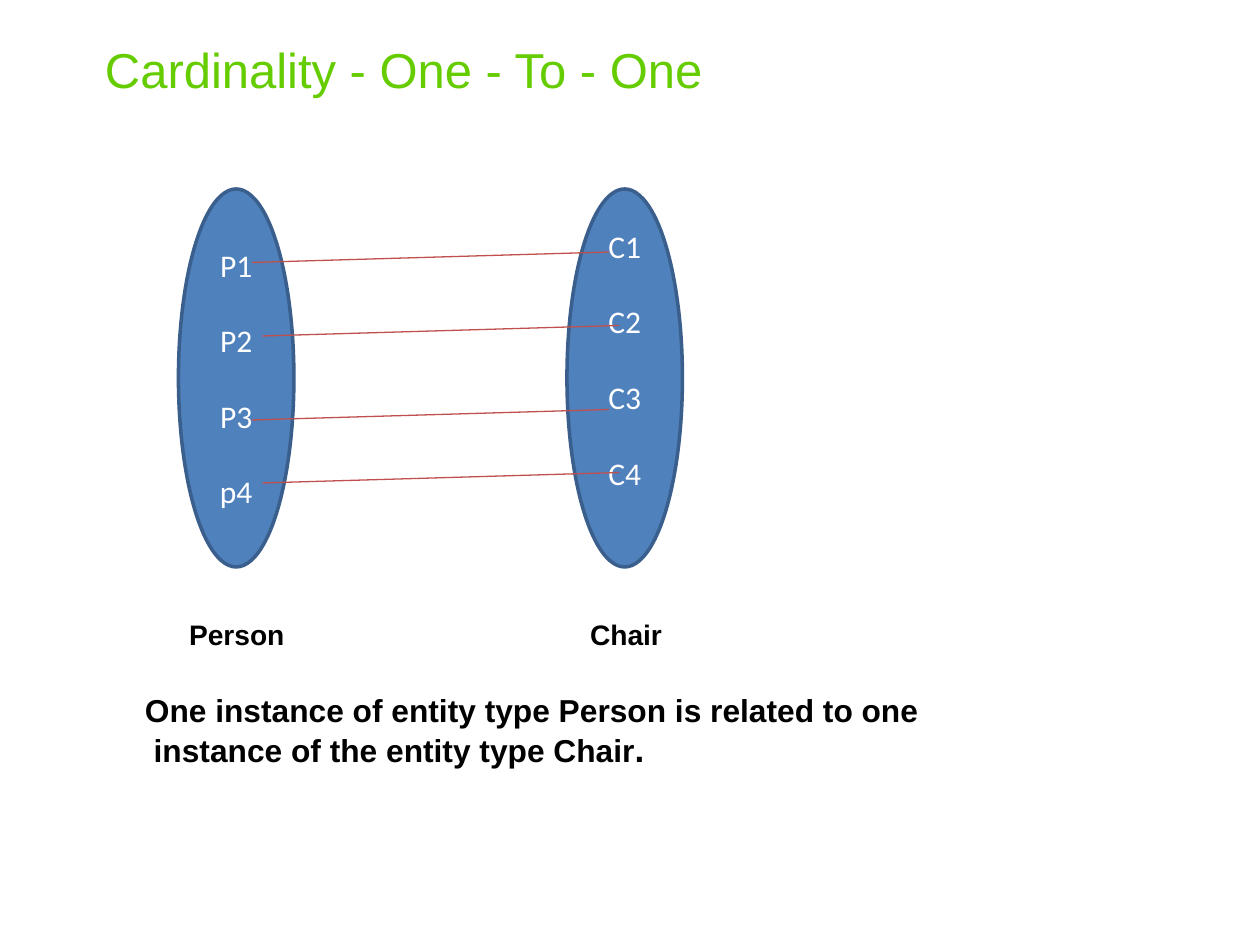
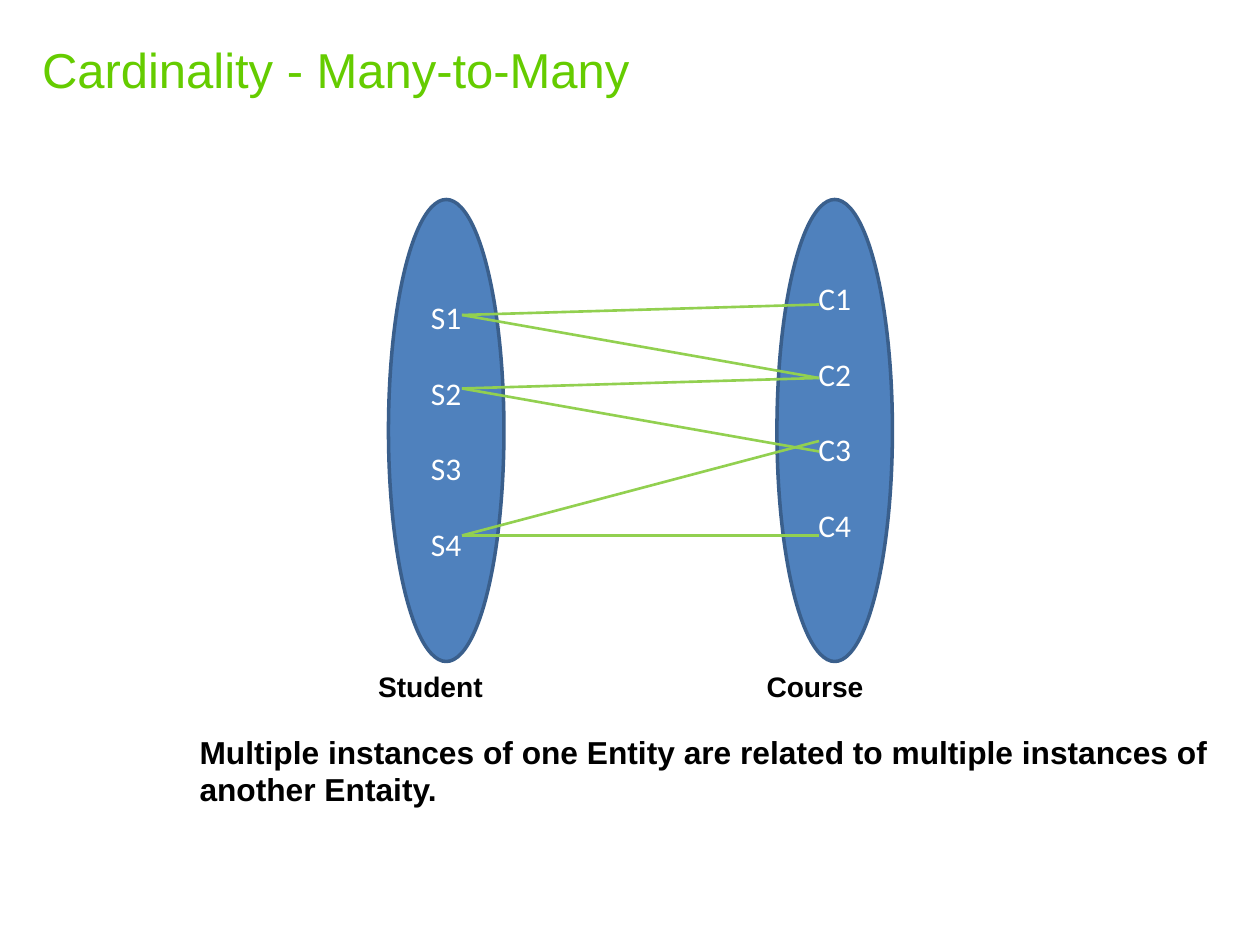
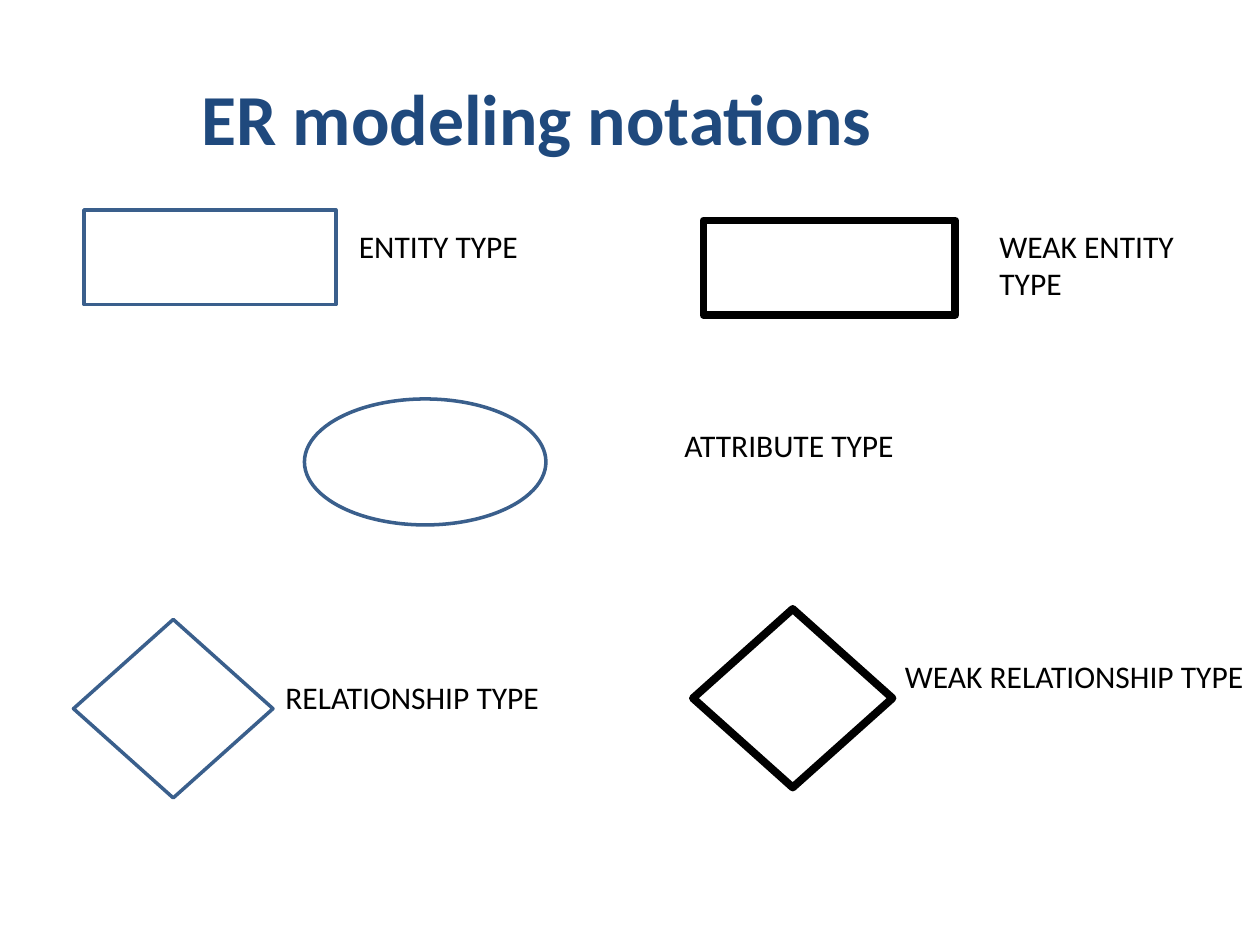
from dataclasses import dataclass

from lxml.etree import SubElement
from pptx import Presentation
from pptx.dml.color import RGBColor
from pptx.enum.shapes import MSO_CONNECTOR as Connector, MSO_SHAPE as Shape
from pptx.enum.text import MSO_ANCHOR as Anchor, MSO_AUTO_SIZE as AutoSize, PP_ALIGN as Align
from pptx.oxml.ns import qn
from pptx.util import Pt

EMU_PER_PX = 7620
SET_WIDTH = 110
SET_STEP = 370
LINK_WIDTH = 340
MEMBER_GAP = 21.6

COLORS = {
    "heading": "65CC00",
    "notation_heading": "1F497D",
    "set_fill": "4F81BD",
    "outline": "3A5F8C",
    "one_link": "C0504D",
    "many_link": "92D050",
    "black": "000000",
    "white": "FFFFFF",
}


@dataclass(frozen=True)
class TextStyle:
    font: str
    size: float
    color: str
    bold: bool = False
    spacing: float = 0


HEADING = TextStyle("Arial", 28, "heading", spacing=32.2)
SET_NAME = TextStyle("Arial", 16.1, "black", True, 18)
ONE_CAPTION = TextStyle("Arial", 18.1, "black", True, 23)
MANY_CAPTION = TextStyle("Arial", 18.1, "black", True, 20.7)
MEMBER = TextStyle("Calibri", 18, "white")
NOTATION_HEADING = TextStyle("Calibri", 41, "notation_heading", True)
NOTATION = TextStyle("Calibri", 18, "black")


def px(length):
    return length * EMU_PER_PX


def rgb(name):
    return RGBColor.from_string(COLORS[name])


class Deck:
    """Holds the shared style and draws elements on the current slide."""

    def __init__(self):
        self.presentation = Presentation()
        self.presentation.slide_width = px(1200)
        self.presentation.slide_height = px(900)
        self.slide = None

    def new_slide(self):
        self.slide = self.presentation.slides.add_slide(self.presentation.slide_layouts[6])

    def format_run(self, run, style):
        run.font.name = style.font
        run.font.size = Pt(style.size)
        run.font.bold = style.bold
        run.font.color.rgb = rgb(style.color)

    def fill_text(self, text_frame, lines, style):
        text_frame.text = "\n".join(lines)
        for paragraph in text_frame.paragraphs:
            if style.spacing:
                paragraph.line_spacing = Pt(style.spacing)
            for run in paragraph.runs:
                self.format_run(run, style)

    def text(self, box, lines, style, inset=True, grow=True):
        shape = self.slide.shapes.add_textbox(*map(px, box))
        text_frame = shape.text_frame
        text_frame.word_wrap = True
        text_frame.auto_size = AutoSize.SHAPE_TO_FIT_TEXT if grow else AutoSize.NONE
        if not inset:
            text_frame.margin_left = text_frame.margin_right = 0
            text_frame.margin_top = text_frame.margin_bottom = 0
        self.fill_text(text_frame, lines, style)
        return text_frame

    def heading(self, left, width, text):
        self.text((left, 40, width, 54), [text], HEADING, inset=False)

    def shape(self, kind, box, fill="white", outline="outline", weight=2):
        shape = self.slide.shapes.add_shape(kind, *map(px, box))
        shape.shadow.inherit = False
        shape.fill.solid()
        shape.fill.fore_color.rgb = rgb(fill)
        shape.line.color.rgb = rgb(outline)
        shape.line.width = Pt(weight)
        return shape

    def entity_set(self, left, top, height, members, raised=False):
        shape = self.shape(Shape.OVAL, (left, top, SET_WIDTH, height), "set_fill")
        text_frame = shape.text_frame
        text_frame.vertical_anchor = Anchor.MIDDLE
        if raised:
            text_frame.margin_bottom += Pt(MEMBER_GAP)
        self.fill_text(text_frame, members, MEMBER)
        for index, paragraph in enumerate(text_frame.paragraphs):
            paragraph.alignment = Align.CENTER
            if index:
                paragraph.space_before = Pt(MEMBER_GAP)

    def set_pair(self, left, top, height, first, second):
        self.entity_set(left, top, height, first)
        self.entity_set(left + SET_STEP, top, height, second, raised=True)

    def link(self, left, start, end, color, weight):
        connector = self.slide.shapes.add_connector(
            Connector.STRAIGHT, px(left), px(start), px(left + LINK_WIDTH), px(end))
        connector.line.color.rgb = rgb(color)
        connector.line.width = Pt(weight)
        SubElement(connector._element.spPr, qn("a:effectLst"))

    def notation(self, kind, box, label_box, label, weak=False):
        outline, weight = ("black", 4.5) if weak else ("outline", 2)
        self.shape(kind, box, outline=outline, weight=weight)
        self.text(label_box, [label], NOTATION)


def one_to_one(deck):
    deck.new_slide()
    deck.heading(100, 907, "Cardinality - One - To - One")
    deck.text((180, 590, 368, 42), ["Person"], SET_NAME, inset=False)
    deck.text((562, 590, 670, 42), ["Chair"], SET_NAME, inset=False)
    caption = deck.text((138, 656, 892, 78), [
        "One instance of entity type Person is related to one",
        " instance of the entity type Chair",
    ], ONE_CAPTION, inset=False)
    full_stop = caption.paragraphs[-1].add_run()
    full_stop.text = "."
    deck.format_run(full_stop, ONE_CAPTION)
    full_stop.font.size = Pt(20.1)
    deck.set_pair(170, 180, 360, ["P1", "P2", "P3", "p4"], ["C1", "C2", "C3", "C4"])
    for left, start in [(240, 250), (250, 320), (240, 400), (250, 460)]:
        deck.link(left, start, start - 10, "one_link", 0.75)


def many_to_many(deck):
    deck.new_slide()
    deck.heading(40, 1016, "Cardinality - Many-to-Many")
    deck.set_pair(370, 190, 440, ["S1", "S2", "S3", "S4"], ["C1", "C2", "C3", "C4"])
    for start, end in [(300, 290), (300, 360), (370, 360), (370, 430), (510, 420), (510, 510)]:
        deck.link(440, start, end, "many_link", 1.5)
    deck.text((360, 640, 210, 30), ["Student"], SET_NAME, inset=False)
    deck.text((730, 640, 301, 30), ["Course"], SET_NAME, inset=False)
    deck.text((190, 700, 976, 106), [
        "Multiple instances of one Entity are related to multiple instances of",
        "another Entaity.",
    ], MANY_CAPTION, inset=False)


def notations(deck):
    deck.new_slide()
    heading = deck.text((180, 36, 1020, 150), ["ER modeling notations"],
                        NOTATION_HEADING, grow=False)
    heading.vertical_anchor = Anchor.MIDDLE
    deck.notation(Shape.RECTANGLE, (80, 200, 240, 90), (330, 210, 230, 48), "ENTITY TYPE")
    deck.notation(Shape.OVAL, (290, 380, 230, 120), (640, 400, 290, 48), "ATTRIBUTE TYPE")
    deck.notation(Shape.FLOWCHART_DECISION, (70, 590, 190, 170), (260, 640, 370, 48),
                  "RELATIONSHIP TYPE")
    deck.notation(Shape.RECTANGLE, (670, 210, 240, 90), (940, 210, 230, 84),
                  "WEAK ENTITY TYPE", weak=True)
    deck.notation(Shape.FLOWCHART_DECISION, (660, 580, 190, 170), (850, 620, 378, 84),
                  "WEAK RELATIONSHIP TYPE", weak=True)


def main():
    deck = Deck()
    one_to_one(deck)
    many_to_many(deck)
    notations(deck)
    deck.presentation.save("out.pptx")


if __name__ == "__main__":
    main()
